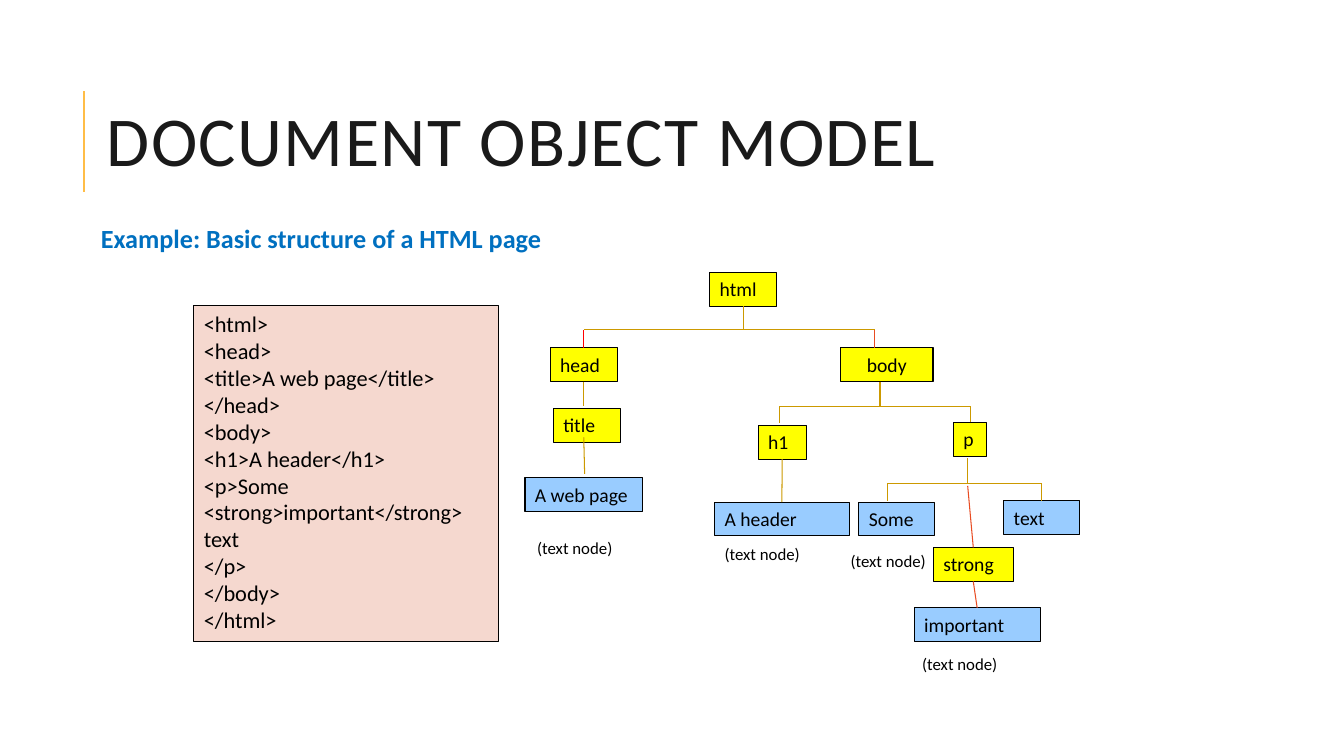
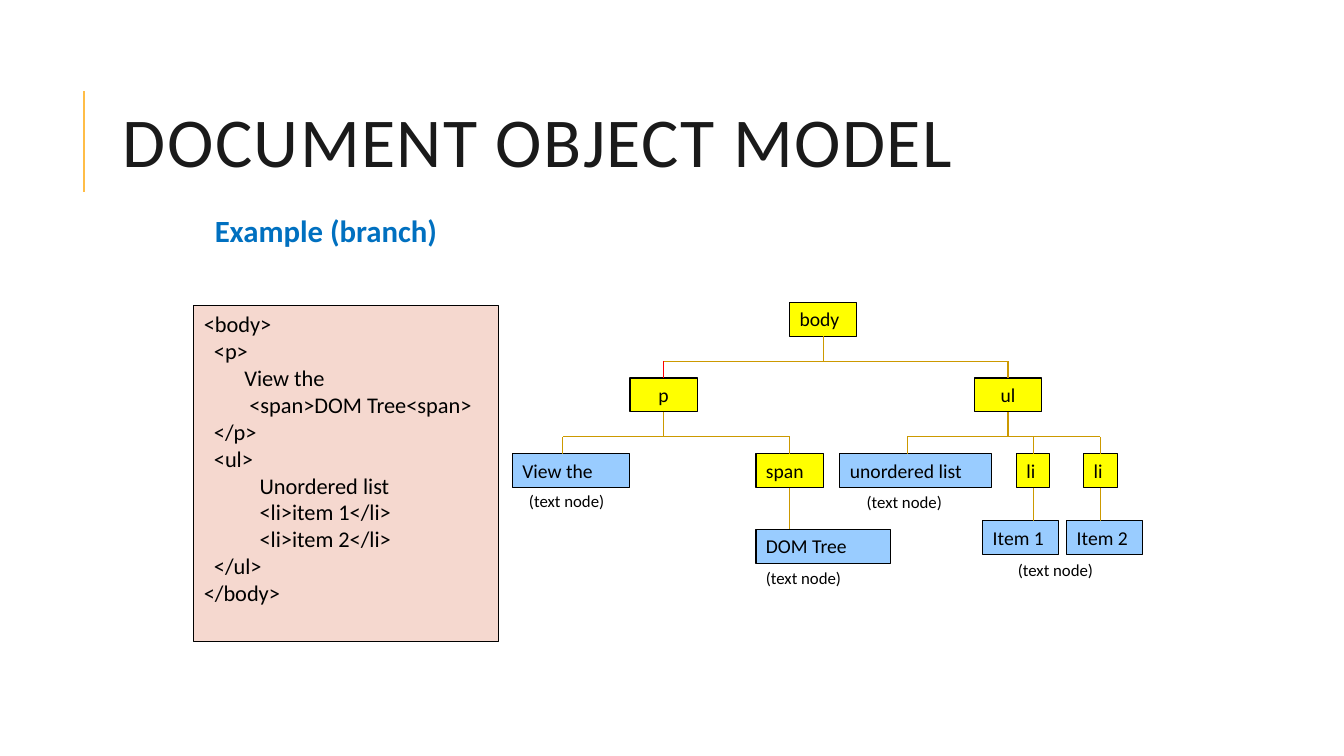
from dataclasses import dataclass
from itertools import zip_longest

from lxml.etree import SubElement
from pptx import Presentation
from pptx.dml.color import RGBColor as RGB
from pptx.enum.shapes import MSO_CONNECTOR as CONNECTOR, MSO_SHAPE as SHAPE
from pptx.enum.text import MSO_ANCHOR as ANCHOR, MSO_AUTO_SIZE as AUTO_SIZE, PP_ALIGN as ALIGN
from pptx.oxml.ns import qn
from pptx.util import Pt

BOTTOM, TOP = 2, 0


@dataclass(frozen=True)
class Theme:
    font: str = "Calibri"
    ink: RGB = RGB(0, 0, 0)
    title: RGB = RGB(0x1A, 0x1A, 0x1A)
    heading: RGB = RGB(0x00, 0x70, 0xC0)
    accent: RGB = RGB(0xFF, 0xBD, 0x47)
    code: RGB = RGB(0xF5, 0xD8, 0xCF)
    element: RGB = RGB(0xFF, 0xFF, 0x00)
    text_node: RGB = RGB(0x99, 0xCC, 0xFF)
    branch: RGB = RGB(0xCC, 0x99, 0x00)
    red: RGB = RGB(0xFF, 0x00, 0x00)
    orange: RGB = RGB(0xE8, 0x4C, 0x22)
    title_size: float = 50
    code_size: float = 16
    node_size: float = 14
    caption_size: float = 12
    thin: float = 0.75
    thick: float = 1.5
    node_height: float = 24.25


def set_format(target, **values):
    for attribute, value in values.items():
        setattr(target, attribute, value)


def place(shape, box):
    set_format(shape, **dict(zip(("left", "top", "width", "height"), map(Pt, box))))


def middle(end):
    """Horizontal position, in points, of a point or of a node's centre."""
    return end[0] if isinstance(end, tuple) else (end.left + end.width / 2) / Pt(1)


class TreeDeck:
    def __init__(self, theme):
        self.theme = theme
        self.deck = Presentation()
        set_format(self.deck, slide_width=Pt(960), slide_height=Pt(540))
        self.slide = None

    def put_text(self, paragraph, text, size, color, bold=False):
        run = paragraph.add_run()
        run.text = text
        set_format(run.font, name=self.theme.font, size=Pt(size), bold=bold)
        run.font.color.rgb = color
        return run

    def start_slide(self, title, title_box):
        self.slide = self.deck.slides.add_slide(self.deck.slide_layouts[1])
        self.line((60, 136.8), (60, 64.8), self.theme.accent, self.theme.thick)
        holder = self.slide.shapes.title
        place(holder, title_box)
        set_format(holder.text_frame, vertical_anchor=ANCHOR.MIDDLE,
                   auto_size=AUTO_SIZE.NONE, word_wrap=True)
        paragraph = holder.text_frame.paragraphs[0]
        set_format(paragraph, alignment=ALIGN.LEFT, line_spacing=0.8)
        run = self.put_text(paragraph, title, self.theme.title_size, self.theme.title)
        run.font._element.set("spc", "100")

    def heading(self, text, box, size, line_spacing):
        holder = self.slide.placeholders[1]
        place(holder, box)
        inset = Pt(3.6)
        set_format(holder.text_frame, auto_size=AUTO_SIZE.NONE, vertical_anchor=ANCHOR.TOP,
                   margin_left=inset, margin_right=inset, margin_top=inset, margin_bottom=inset)
        paragraph = holder.text_frame.paragraphs[0]
        set_format(paragraph, line_spacing=line_spacing, space_before=Pt(12), space_after=Pt(2))
        self.put_text(paragraph, text, size, self.theme.heading, bold=True)
        properties = paragraph._p.get_or_add_pPr()
        for name in ("marL", "indent"):
            properties.set(name, "0")
        SubElement(properties, qn("a:buNone"))

    def box(self, bounds, fill):
        rectangle = self.slide.shapes.add_shape(SHAPE.RECTANGLE, *map(Pt, bounds))
        rectangle.shadow.inherit = False
        rectangle.fill.solid()
        rectangle.fill.fore_color.rgb = fill
        rectangle.line.color.rgb = self.theme.ink
        rectangle.line.width = Pt(self.theme.thin)
        set_format(rectangle.text_frame, word_wrap=True, vertical_anchor=ANCHOR.TOP)
        return rectangle

    def code(self, lines):
        """Listing built from (indent in points, text) pairs."""
        frame = self.box((138.5, 218.25, 217.5, 240), self.theme.code).text_frame
        for number, (indent, text) in enumerate(lines):
            paragraph = frame.add_paragraph() if number else frame.paragraphs[0]
            paragraph.alignment = ALIGN.LEFT
            paragraph._p.get_or_add_pPr().set("marL", str(int(Pt(indent))))
            self.put_text(paragraph, text, self.theme.code_size, self.theme.ink)

    def node(self, text, left, top, width, fill=None, align=ALIGN.LEFT):
        bounds = (left, top, width, self.theme.node_height)
        rectangle = self.box(bounds, fill or self.theme.element)
        paragraph = rectangle.text_frame.paragraphs[0]
        paragraph.alignment = align
        self.put_text(paragraph, text, self.theme.node_size, self.theme.ink)
        return rectangle

    def text_node(self, text, left, top, width):
        return self.node(text, left, top, width, self.theme.text_node)

    def captions(self, *corners):
        for left, top in corners:
            label = self.slide.shapes.add_textbox(Pt(left), Pt(top), Pt(69.1), Pt(21.8))
            label.text_frame.word_wrap = False
            self.put_text(label.text_frame.paragraphs[0], "(text node)",
                          self.theme.caption_size, self.theme.ink)

    def line(self, start, end, color=None, width=None):
        """Line between points or nodes, leaving a node's bottom and entering a node's top."""
        points = [point if isinstance(point, tuple) else (0, 0) for point in (start, end)]
        connector = self.slide.shapes.add_connector(
            CONNECTOR.STRAIGHT, *(Pt(value) for point in points for value in point))
        if not isinstance(start, tuple):
            connector.begin_connect(start, BOTTOM)
        if not isinstance(end, tuple):
            connector.end_connect(end, TOP)
        connector.line.color.rgb = color or self.theme.branch
        connector.line.width = Pt(width or self.theme.thin)
        SubElement(connector._element.spPr, qn("a:effectLst"))

    def fork(self, stem, rail, children, colors=()):
        """Stem down to a horizontal rail, and from the rail a drop to each child."""
        self.line(stem, (middle(stem), rail))
        self.line((middle(children[0]), rail), (middle(children[-1]), rail))
        for child, color in zip_longest(children, colors):
            self.line((middle(child), rail), child, color)


def page_structure(deck):
    theme = deck.theme
    deck.start_slide("DOCUMENT OBJECT MODEL", (69.1, 59.75, 648, 90))
    deck.heading("Example: Basic structure of a HTML page", (68.4, 161.3, 573.8, 60.5), 18.7, 0.7)
    deck.code([(0, text) for text in (
        "<html>", "<head>", "<title>A web page</title>", "</head>", "<body>",
        "<h1>A header</h1>", "<p>Some <strong>important</strong>", "text", "</p>",
        "</body>", "</html>")])

    html = deck.node("html", 507, 194.4, 48)
    head = deck.node("head", 393, 248.4, 48)
    deck.node("body", 600.5, 248.4, 66, align=ALIGN.CENTER)
    deck.node("title", 395.3, 291.6, 48)
    h1 = deck.node("h1", 541.5, 303.8, 34.5)
    p = deck.node("p", 681, 301.7, 24)
    strong = deck.node("strong", 666.7, 391, 57)
    deck.text_node("A web page", 375, 341.3, 84)
    header = deck.text_node("A header", 510.5, 358.6, 96)
    deck.text_node("Some", 613.5, 358.6, 54)
    text = deck.text_node("text", 717, 357.8, 54)
    important = deck.text_node("important", 653, 434.2, 90)

    deck.fork(html, 235.6, [head, (625, 248.4)], (theme.red, theme.orange))
    deck.fork((628.6, 272.6), 290.2, [(556.6, 302.4), p])
    deck.fork((691.2, 327.4), 345.6, [(633.6, 357.8), text])
    deck.line(head, (417, 290.2))
    deck.line((417, 312.5), (417.6, 338.4))
    deck.line(h1, header)
    deck.line((691.2, 347), strong, theme.orange)
    deck.line(strong, important, theme.orange)
    deck.captions((376.6, 380.2), (651.6, 463.7), (510.5, 384.5), (600.5, 389.5))


def branch_example(deck):
    deck.start_slide("DOCUMENT OBJECT MODEL", (80.6, 46, 765.4, 118))
    deck.heading("Example (branch)", (149.8, 150.5, 648, 60), 22, 0.9)
    deck.code([
        (0, "<body>"), (7.2, "<p>"), (29, "View the"), (32.5, "<span>DOM Tree<span>"),
        (7.2, "</p>"), (7.2, "<ul>"), (39.8, "Unordered list"), (39.8, "<li>item 1</li>"),
        (39.8, "<li>item 2</li>"), (7.2, "</ul>"), (0, "</body>")])

    body = deck.node("body", 564, 216, 48)
    p = deck.node("p", 450, 270, 48, align=ALIGN.CENTER)
    ul = deck.node("ul", 696, 270, 48, align=ALIGN.CENTER)
    span = deck.node("span", 540, 324, 48)
    items = [deck.node("li", left, 324, 24) for left in (726, 774)]
    deck.text_node("View the", 366, 324, 84)
    deck.text_node("unordered list", 600, 324, 108)
    deck.text_node("DOM Tree", 540, 378, 96)
    deck.text_node("Item 1", 702, 372, 54)
    deck.text_node("Item 2", 762, 372, 54)

    deck.fork(body, 258, [p, ul], (deck.theme.red,))
    deck.fork(p, 312, [(402, 324), span])
    deck.fork(ul, 312, [(648, 324), *items])
    deck.line(span, (middle(span), 378))
    for item in items:
        deck.line(item, (middle(item), 372))
    deck.captions((370.8, 347), (612, 347.8), (540, 401.8), (720, 396))


def main():
    tree_deck = TreeDeck(Theme())
    page_structure(tree_deck)
    branch_example(tree_deck)
    tree_deck.deck.save("out.pptx")


if __name__ == "__main__":
    main()
